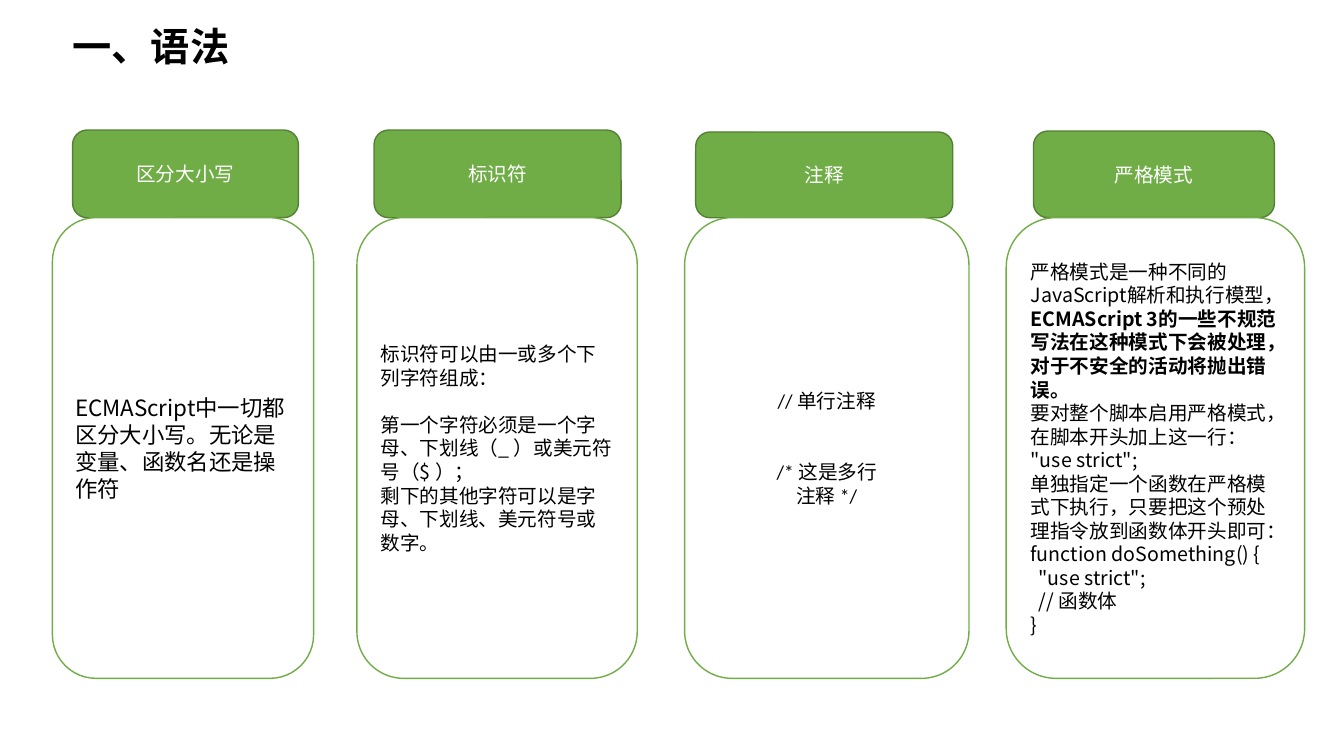
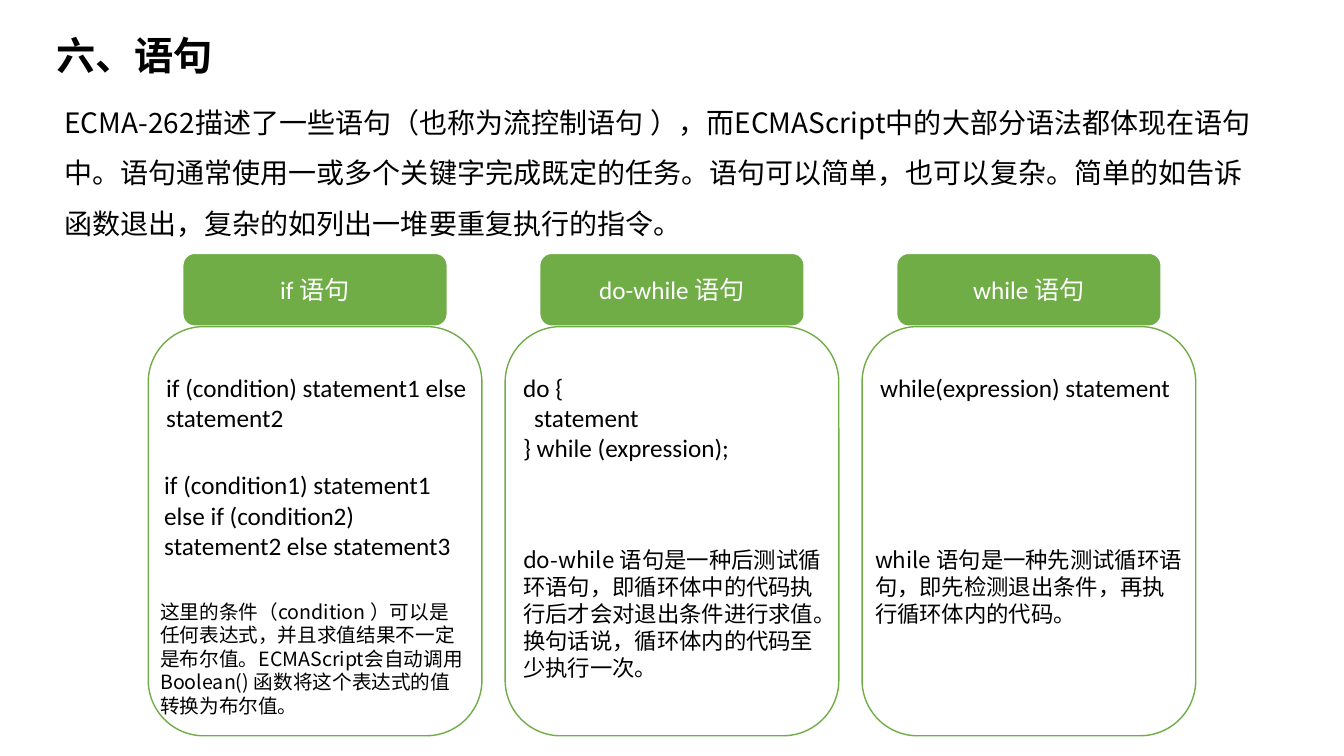
from dataclasses import dataclass

from pptx import Presentation
from pptx.dml.color import RGBColor
from pptx.enum import lang, shapes, text
from pptx.util import Inches, Pt

GREEN, DARK_GREEN, WHITE, BLACK = "70AD47", "538035", "FFFFFF", "000000"
LATIN, CJK = "Calibri", "Noto Sans CJK SC"
LEFT, CENTER = text.PP_ALIGN.LEFT, text.PP_ALIGN.CENTER
TITLE_ONLY = 5


@dataclass
class Para:
    """A paragraph: gap before it in points, indent in inches, bold ending."""
    text: str
    bold_end: str = ""
    gap: float = 0
    indent: float = 0


@dataclass
class Style:
    size: float
    font: str = CJK
    color: str = BLACK
    align: text.PP_ALIGN = LEFT
    bold: bool = False
    spacing: float = 1.0


HEADING = Style(28, LATIN, bold=True)
INTRO = Style(20, spacing=1.5)
CODE = Style(18, LATIN)


def rgb(value):
    return RGBColor.from_string(value)


def box(left, top, width, height):
    return [Inches(v) for v in (left, top, width, height)]


def write(tf, paras, style):
    tf.word_wrap = True
    for i, para in enumerate(paras):
        p = tf.paragraphs[0] if i == 0 else tf.add_paragraph()
        p.alignment = style.align
        p.line_spacing = style.spacing
        p.space_before = Pt(para.gap)
        if para.indent:
            p._p.get_or_add_pPr().set("marL", str(Inches(para.indent)))
        p.font.name = style.font
        p.font.size = Pt(style.size)
        p.font.bold = style.bold
        p.font.color.rgb = rgb(style.color)
        p.font.language_id = lang.MSO_LANGUAGE_ID.SIMPLIFIED_CHINESE
        p.add_run().text = para.text
        if para.bold_end:
            r = p.add_run()
            r.text = para.bold_end
            r.font.bold = True


def add_slide(prs, title, left, top, width):
    s = prs.slides.add_slide(prs.slide_layouts[TITLE_ONLY])
    sp = s.shapes.title
    sp.left, sp.top, sp.width, sp.height = box(left, top, width, 0.57)
    tf = sp.text_frame
    tf.auto_size = text.MSO_AUTO_SIZE.NONE
    tf.vertical_anchor = text.MSO_ANCHOR.TOP
    write(tf, [Para(title)], HEADING)
    return s


def add_text(parent, area, paras, style):
    sp = parent.shapes.add_textbox(*box(*area))
    write(sp.text_frame, paras, style)
    sp.text_frame.auto_size = text.MSO_AUTO_SIZE.SHAPE_TO_FIT_TEXT


def add_panel(parent, area, fill, line, line_width=1):
    sp = parent.shapes.add_shape(shapes.MSO_SHAPE.ROUNDED_RECTANGLE, *box(*area))
    sp.shadow.inherit = False
    sp.fill.solid()
    sp.fill.fore_color.rgb = rgb(fill)
    sp.line.color.rgb = rgb(line)
    sp.line.width = Pt(line_width)
    sp.text_frame.vertical_anchor = text.MSO_ANCHOR.MIDDLE
    return sp


def add_card(s, label, label_size, head, body, line, line_width=1):
    """Add a green head above a white body; return the group and the body."""
    group = s.shapes.add_group_shape()
    sp = add_panel(group, head, GREEN, line, line_width)
    write(sp.text_frame, [Para(label)], Style(label_size, LATIN, WHITE, CENTER))
    return group, add_panel(group, body, WHITE, GREEN)


def syntax_slide(prs):
    s = add_slide(prs, "一、语法", 0.62, 0.17, 6.76)
    body_top, body_height = 2.16, 4.57
    # label, head (left, width, height), body (left, width), style, text
    cards = [
        ("区分大小写", (0.72, 2.24, 0.87), (0.52, 2.59), Style(16), [
            Para("ECMAScript中一切都区分大小写。无论是变量、函数名还是操作符")]),
        ("标识符", (3.71, 2.45, 0.87), (3.54, 2.78), Style(14), [
            Para("标识符可以由一或多个下列字符组成："),
            Para("第一个字符必须是一个字母、下划线（_ ）或美元符号（$ ）；", gap=17),
            Para("剩下的其他字符可以是字母、下划线、美元符号或数字。")]),
        ("注释", (6.9, 2.55, 0.85), (6.79, 2.82), Style(14, LATIN, align=CENTER), [
            Para("// 单行注释"),
            Para("/* 这是多行", gap=34),
            Para("注释 */")]),
        ("严格模式", (10.25, 2.39, 0.86), (9.98, 2.96), Style(14), [
            Para("严格模式是一种不同的JavaScript解析和执行模型，",
                 "ECMAScript 3的一些不规范写法在这种模式下会被处理，"
                 "对于不安全的活动将抛出错误。"),
            Para("要对整个脚本启用严格模式，在脚本开头加上这一行："),
            Para('"use strict";'),
            Para("单独指定一个函数在严格模式下执行，只要把这个预处理指令放到函数体开头即可："),
            Para("function doSomething() {"),
            Para('"use strict";', indent=0.08),
            Para("// 函数体", indent=0.08),
            Para("}")]),
    ]
    for label, (left, width, height), (body_left, body_width), style, paras in cards:
        head = (left, body_top - height, width, height)
        body = (body_left, body_top, body_width, body_height)
        _, sp = add_card(s, label, 14, head, body, DARK_GREEN)
        write(sp.text_frame, paras, style)


def statement_slide(prs):
    s = add_slide(prs, "六、语句", 0.46, 0.26, 4.04)
    add_text(s, (0.54, 0.83, 12, 1.61), [Para(
        "ECMA-262描述了一些语句（也称为流控制语句 ），而ECMAScript中的大部分语法都体现在语句中。"
        "语句通常使用一或多个关键字完成既定的任务。语句可以简单，也可以复杂。"
        "简单的如告诉函数退出，复杂的如列出一堆要重复执行的指令。")], INTRO)
    # label, then texts: offset from body, top, width, height, style, text
    cards = [
        ("if 语句", [
            (0.08, 3.64, 3.18, 0.71, CODE, [
                Para("if (condition) statement1 else statement2")]),
            (0.02, 5.9, 3.25, 1.28, Style(14), [
                Para("这里的条件（condition ）可以是任何表达式，并且求值结果不一定是布尔值。"
                     "ECMAScript会自动调用Boolean() 函数将这个表达式的值转换为布尔值。")]),
            (0.06, 4.61, 3.18, 1.01, CODE, [
                Para("if (condition1) statement1 else if (condition2) "
                     "statement2 else statement3")])]),
        ("do-while 语句", [
            (0.08, 3.64, 3.18, 1.01, CODE, [
                Para("do {"),
                Para("statement", indent=0.11),
                Para("} while (expression);")]),
            (0.08, 5.37, 3.25, 1.45, Style(16), [
                Para("do-while 语句是一种后测试循环语句，即循环体中的代码执行后才会对退出条件进行求值。"
                     "换句话说，循环体内的代码至少执行一次。")])]),
        ("while 语句", [
            (0.08, 3.64, 3.18, 0.4, CODE, [Para("while(expression) statement")]),
            (0.03, 5.37, 3.25, 0.91, Style(16), [
                Para("while 语句是一种先测试循环语句，即先检测退出条件，再执行循环体内的代码。")])]),
    ]
    for i, (label, texts) in enumerate(cards):
        left = 1.47 + i * 3.54
        group, _ = add_card(s, label, 18, (left + 0.34, 2.51, 2.63, 0.73),
                            (left, 3.24, 3.31, 4.06), WHITE, 1.5)
        for offset, top, width, height, style, paras in texts:
            add_text(group, (left + offset, top, width, height), paras, style)


def main():
    prs = Presentation()
    prs.slide_width, prs.slide_height = Inches(13.33), Inches(7.5)
    syntax_slide(prs)
    statement_slide(prs)
    prs.save("out.pptx")


if __name__ == "__main__":
    main()
